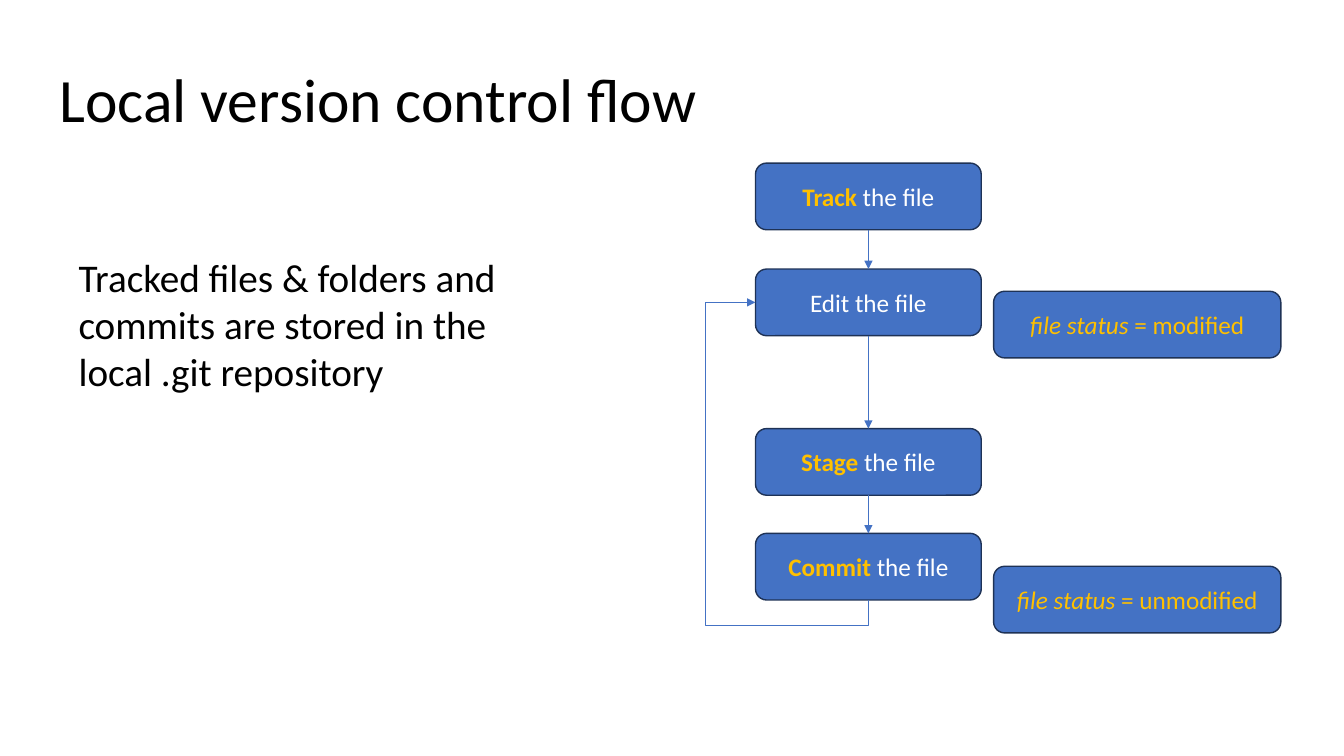
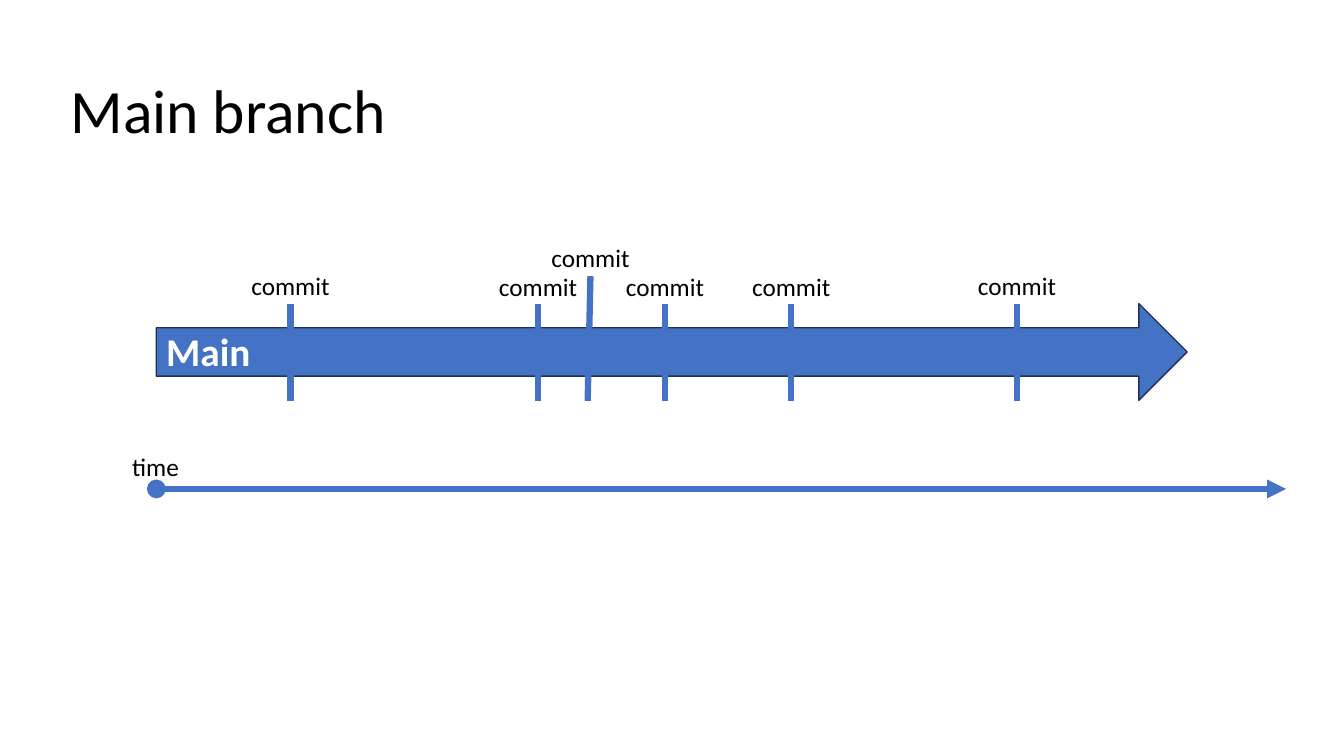
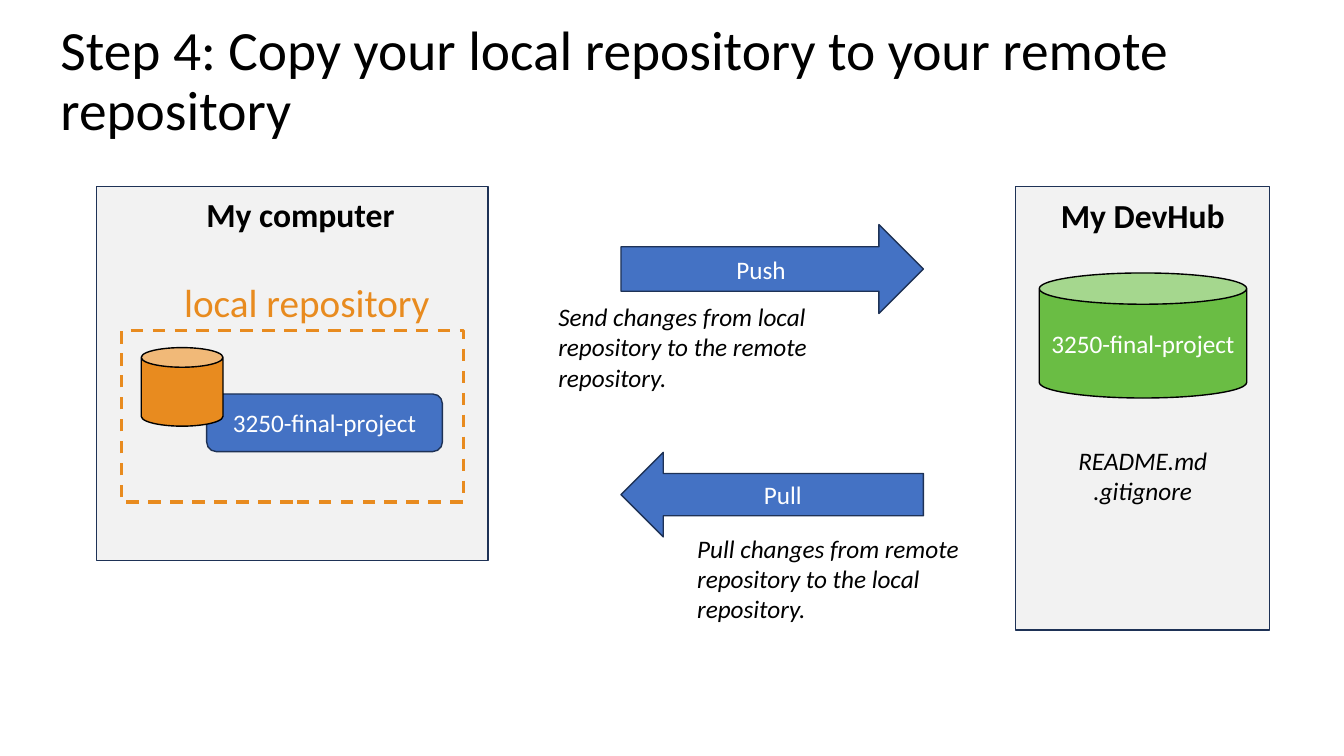
"""Build three slides on local version control, branches and remotes."""
import lxml.etree
import pptx
import pptx.dml.color
import pptx.enum.dml
import pptx.enum.shapes
import pptx.enum.text
import pptx.oxml.ns
import pptx.util

Cm = pptx.util.Cm
Pt = pptx.util.Pt
SHAPE = pptx.enum.shapes.MSO_SHAPE
CONNECTOR = pptx.enum.shapes.MSO_CONNECTOR
ALIGN = pptx.enum.text.PP_ALIGN
ANCHOR = pptx.enum.text.MSO_ANCHOR
qn = pptx.oxml.ns.qn

COLOURS = {
    "blue": "4472C4",
    "navy": "1E3256",
    "gold": "FFC000",
    "orange": "E88B1F",
    "green": "6ABD44",
    "panel": "F2F2F2",
    "black": "000000",
    "white": "FFFFFF",
}
BASE_FONT = {"name": "Calibri", "size": Pt(18), "bold": False, "italic": False}
KEYWORD = {"colour": "gold", "bold": True}
STATUS = {"colour": "gold", "italic": True}
HEADING = {"size": Pt(24), "bold": True}
NOTE = {"italic": True}
TITLE_ONLY = 5


def rgb(name):
    """Return the colour with the given name."""
    return pptx.dml.color.RGBColor.from_string(COLOURS[name])


def set_attributes(target, values):
    """Set every attribute in the dict on the target."""
    for name, value in values.items():
        setattr(target, name, value)


def place(target, box):
    """Move and size the target to the box."""
    set_attributes(target, dict(zip(("left", "top", "width", "height"), map(Cm, box))))


def write(frame, paragraphs, align=ALIGN.LEFT, **font):
    """Fill a text frame with paragraphs, each a list of (text, format) runs."""
    for index, runs in enumerate(paragraphs):
        paragraph = frame.add_paragraph() if index else frame.paragraphs[0]
        paragraph.alignment = align
        for text, run_format in runs:
            run = paragraph.add_run()
            run.text = text
            values = {"colour": "black"} | BASE_FONT | font | run_format
            run.font.color.rgb = rgb(values.pop("colour"))
            set_attributes(run.font, values)


def add_slide(deck, title, box, size=44):
    """Add a slide with its title placed in the given box."""
    slide = deck.slides.add_slide(deck.slide_layouts[TITLE_ONLY])
    heading = slide.shapes.title
    place(heading, box)
    frame = heading.text_frame
    set_attributes(frame, {
        "word_wrap": True,
        "vertical_anchor": ANCHOR.MIDDLE,
        "auto_size": pptx.enum.text.MSO_AUTO_SIZE.NONE,
    })
    write(frame, [[(title, {})]], size=Pt(size))
    frame.paragraphs[0].line_spacing = 0.9
    return slide


def add_text(slide, box, *lines, align=ALIGN.LEFT, wrap=True, **font):
    """Add a text box with one paragraph per line."""
    frame = slide.shapes.add_textbox(*map(Cm, box)).text_frame
    frame.word_wrap = wrap
    write(frame, [[(line, {})] for line in lines], align, **font)


def add_block(slide, preset, box, *runs, fill="blue", line="navy", width=1):
    """Add a preset shape with centred text."""
    block = slide.shapes.add_shape(preset, *map(Cm, box))
    block.shadow.inherit = False
    if fill:
        block.fill.solid()
        block.fill.fore_color.rgb = rgb(fill)
    else:
        block.fill.background()
    block.line.color.rgb = rgb(line)
    block.line.width = Pt(width)
    if runs:
        block.text_frame.vertical_anchor = ANCHOR.MIDDLE
        write(block.text_frame, [runs], ALIGN.CENTER, colour="white")
    return block


def add_line(slide, start=(0, 0), end=(0, 0), width=4.5, head=None, tail=None,
             kind=CONNECTOR.STRAIGHT):
    """Add a blue connector with optional line ends."""
    line = slide.shapes.add_connector(kind, *map(Cm, (*start, *end)))
    line.line.color.rgb = rgb("blue")
    line.line.width = Pt(width)
    properties = line._element.spPr
    for tag, end_type in (("a:headEnd", head), ("a:tailEnd", tail)):
        if end_type:
            lxml.etree.SubElement(properties.find(qn("a:ln")), qn(tag), type=end_type)
    lxml.etree.SubElement(properties, qn("a:effectLst"))
    return line


def join(slide, source, source_side, target, target_side, kind=CONNECTOR.STRAIGHT):
    """Join two blocks with a thin arrow."""
    arrow = add_line(slide, width=0.5, tail="triangle", kind=kind)
    arrow.begin_connect(source, source_side)
    arrow.end_connect(target, target_side)
    return arrow


def route_loop(arrow, box, adjustments):
    """Route an elbow arrow below its start and left of its end."""
    place(arrow, box)
    properties = arrow._element.spPr
    transform = properties.find(qn("a:xfrm"))
    transform.attrib.pop("flipV", None)
    transform.set("rot", "5400000")
    transform.set("flipH", "1")
    geometry = properties.find(qn("a:prstGeom"))
    geometry.set("prst", "bentConnector4")
    guides = geometry.find(qn("a:avLst"))
    for number, value in enumerate(adjustments, 1):
        lxml.etree.SubElement(guides, qn("a:gd"), name=f"adj{number}", fmla=f"val {value}")


def build_flow(deck):
    """Build the slide on the local version control flow."""
    slide = add_slide(deck, "Local version control flow", (1.24, 0.74, 21.87, 3.68))
    steps = []
    for verb, top, verb_format in (
        ("Track", 4.11, KEYWORD),
        ("Edit", 6.78, {}),
        ("Stage", 10.8, KEYWORD),
        ("Commit", 13.44, KEYWORD),
    ):
        steps.append(add_block(slide, SHAPE.ROUNDED_RECTANGLE, (19.04, top, 5.69, 1.68),
                               (verb, verb_format), (" the file", {})))
    for state, top in (("modified", 7.34), ("unmodified", 14.27)):
        add_block(slide, SHAPE.ROUNDED_RECTANGLE, (25.04, top, 7.24, 1.68),
                  ("file status ", STATUS), (f"= {state}", {"colour": "gold"}))
    for upper, lower in zip(steps, steps[1:]):
        join(slide, upper, 2, lower, 0)
    loop = join(slide, steps[3], 2, steps[1], 1, CONNECTOR.ELBOW)
    route_loop(loop, (16.71, 9.95, 7.5, 2.84), (-8500, 144700))
    add_text(slide, (1.73, 6.25, 13.08, 3.84),
             "Tracked files & folders and commits are stored in the local .git repository",
             size=Pt(28))


def build_branch(deck):
    """Build the slide with the commits on the main branch."""
    slide = add_slide(deck, "Main branch", (1.52, 1.02, 29.21, 3.68))
    add_block(slide, SHAPE.RIGHT_ARROW, (3.94, 7.65, 25.98, 2.44))
    add_text(slide, (3.94, 8.13, 2.67, 1.45), "Main", wrap=False,
             size=Pt(28), bold=True, colour="white")
    for x, top, lean in (
        (7.32, 7.65, 0),
        (13.56, 7.67, 0),
        (14.88, 6.96, 0.07),
        (16.76, 7.67, 0),
        (19.94, 7.67, 0),
        (25.63, 7.65, 0),
    ):
        add_line(slide, (x, top), (x - lean, 10.1))
        add_text(slide, (x - 1.25, top - 0.97, 2.5, 1.02), "commit",
                 align=ALIGN.CENTER, wrap=False)
    add_line(slide, (3.94, 12.32), (32.41, 12.32), head="oval", tail="triangle")
    add_text(slide, (3.07, 11.25, 1.7, 1.02), "time", align=ALIGN.CENTER, wrap=False)


def build_remote(deck):
    """Build the slide on copying between local and remote repositories."""
    slide = add_slide(deck, "Step 4: Copy your local repository to your remote repository",
                      (1.27, 1.04, 28.75, 2.06), 39.6)
    project = ("3250-final-project", {})

    add_block(slide, SHAPE.RECTANGLE, (2.44, 4.7, 9.86, 9.42), fill="panel")
    add_text(slide, (4.95, 4.75, 5.69, 1.27), "My computer", **HEADING)
    add_block(slide, SHAPE.ROUNDED_RECTANGLE, (5.21, 9.93, 5.94, 1.45), project)
    outline = add_block(slide, SHAPE.RECTANGLE, (3.07, 8.33, 8.61, 4.32),
                        fill=None, line="orange", width=2.25)
    outline.line.dash_style = pptx.enum.dml.MSO_LINE.DASH
    add_block(slide, SHAPE.CAN, (3.56, 8.76, 2.06, 1.98), fill="orange", line="black")
    add_text(slide, (4.39, 6.88, 6.76, 1.45), "local repository",
             size=Pt(28), colour="orange")

    add_block(slide, SHAPE.RECTANGLE, (25.6, 4.7, 6.4, 11.18), fill="panel")
    add_text(slide, (25.6, 4.78, 6.4, 1.27), "My DevHub", align=ALIGN.CENTER, **HEADING)
    add_block(slide, SHAPE.CAN, (26.19, 6.88, 5.23, 3.15), project,
              fill="green", line="black")
    add_text(slide, (25.6, 11.1, 6.4, 2.57), "README.md", ".gitignore",
             align=ALIGN.CENTER, **NOTE)

    for preset, label, top, height, note, left, note_top in (
        (SHAPE.RIGHT_ARROW, "Push", 5.66, 2.24,
         "Send changes from local repository to the remote repository.", 13.82, 7.47),
        (SHAPE.LEFT_ARROW, "Pull", 11.4, 2.13,
         "Pull changes from remote repository to the local repository.", 17.32, 13.31),
    ):
        add_block(slide, preset, (15.65, top, 7.62, height), (label, {}))
        add_text(slide, (left, note_top, 8, 2.57), note, **NOTE)


def main():
    """Build and save the deck."""
    deck = pptx.Presentation()
    set_attributes(deck, {"slide_width": Cm(33.87), "slide_height": Cm(19.05)})
    for build in (build_flow, build_branch, build_remote):
        build(deck)
    deck.save("out.pptx")


if __name__ == "__main__":
    main()
